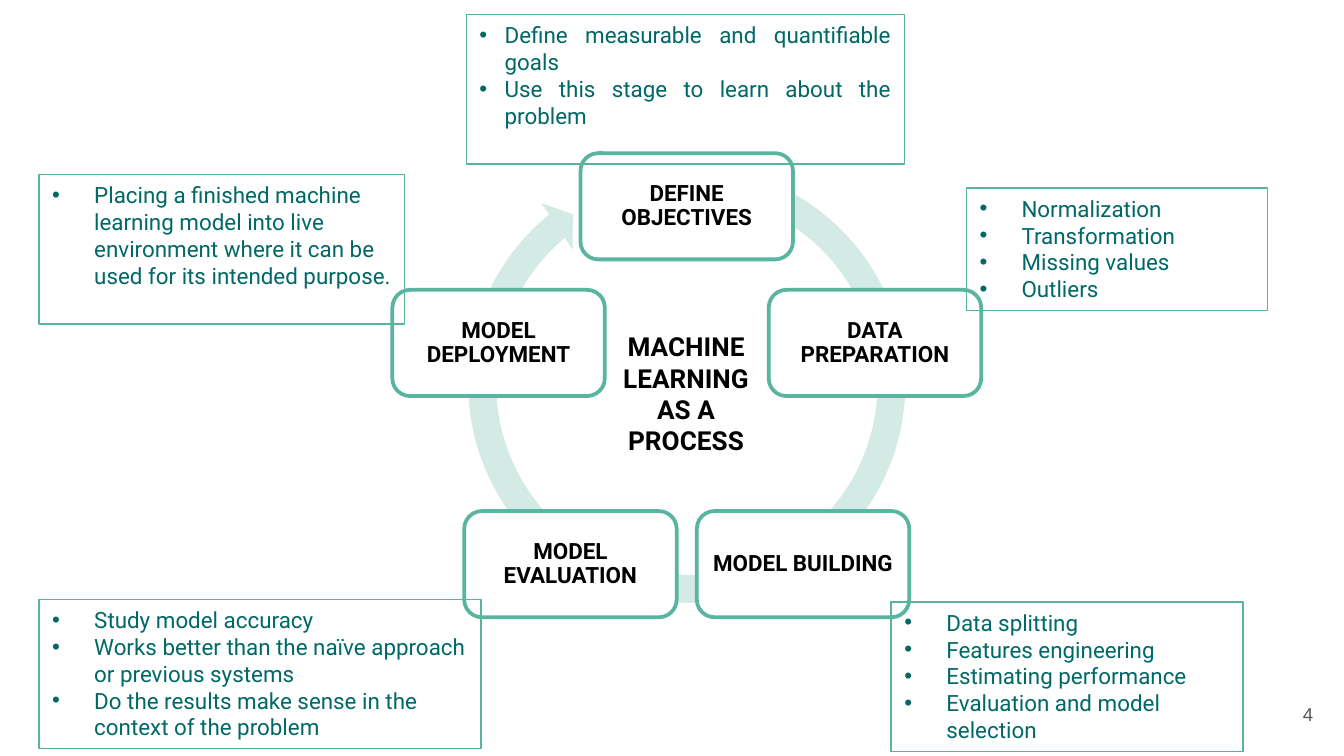
"""Build the slide that shows machine learning as a five-stage cycle."""
import math

import lxml.etree
import pptx
import pptx.dml.color
import pptx.enum.shapes
import pptx.enum.text
import pptx.oxml.ns
import pptx.util

Pt = pptx.util.Pt
RGB = pptx.dml.color.RGBColor.from_string
ALIGN = pptx.enum.text.PP_ALIGN
ANCHOR = pptx.enum.text.MSO_ANCHOR
SHAPE = pptx.enum.shapes.MSO_SHAPE

HEADING = "MACHINE LEARNING AS A PROCESS"
HEADING_AREA = (320.4, 173.5, 94.3, 74.9)
PAGE_NUMBER = "4"
PAGE_NUMBER_AREA = (667.4, 367.2, 43.2, 31)
STAGES = [
    "DEFINE OBJECTIVES",
    "DATA PREPARATION",
    "MODEL BUILDING",
    "MODEL EVALUATION",
    "MODEL DEPLOYMENT",
]
CALLOUTS = [
    {"area": (249.8, 7.9, 234.7, 79.9), "align": ALIGN.JUSTIFY, "indent": 13.5, "points": [
        "Define measurable and quantifiable goals",
        "Use this stage to learn about the problem"]},
    {"area": (517.7, 100.8, 161.3, 65.5), "align": ALIGN.LEFT, "indent": 22.5, "points": [
        "Normalization", "Transformation", "Missing values", "Outliers"]},
    {"area": (477.4, 322.6, 188.6, 79.9), "align": ALIGN.LEFT, "indent": 22.5, "points": [
        "Data splitting", "Features engineering", "Estimating performance",
        "Evaluation and model selection"]},
    {"area": (20.9, 321.1, 236.9, 79.9), "align": ALIGN.LEFT, "indent": 22.5, "points": [
        "Study model accuracy",
        "Works better than the naïve approach or previous systems",
        "Do the results make sense in the context of the problem"]},
    {"area": (20.9, 93.6, 195.8, 79.9), "align": ALIGN.LEFT, "indent": 22.5, "points": [
        "Placing a finished machine learning model into live environment "
        "where it can be used for its intended purpose."]},
]

THEME = {
    "ring": "D3EBE4", "stage_fill": "FFFFFF", "stage_line": "59B5A0",
    "callout_line": "58B49F", "callout_text": "006867",
    "heading_font": {"name": "Roboto", "size": Pt(14), "bold": True, "color": "000000"},
    "stage_font": {"name": "Roboto", "size": Pt(12), "bold": True, "color": "000000"},
    "callout_font": {"name": "Roboto", "size": Pt(12), "bold": False, "color": "006867"},
    "page_font": {"name": "Arial", "size": Pt(10), "bold": False, "color": "595959"},
}

CYCLE_CENTRE = (367.9, 216.5)
CYCLE_RADIUS = 106
STAGE_SIZE = (113.8, 56.9)
ARROW_AREA = (243.4, 81.4, 249.1, 249.1)
ARROW_ADJUSTMENTS = (0.06, 3.31, 138.38, 173.48, 0.06)


def set_frame(frame, anchor, insets=(7.2, 3.6)):
    across, down = map(Pt, insets)
    settings = {
        "word_wrap": True, "auto_size": pptx.enum.text.MSO_AUTO_SIZE.NONE,
        "vertical_anchor": anchor, "margin_left": across, "margin_right": across,
        "margin_top": down, "margin_bottom": down,
    }
    for name, value in settings.items():
        setattr(frame, name, value)


def write(paragraph, words, style, align):
    paragraph.text = words
    paragraph.alignment = align
    for name, value in style.items():
        if name == "color":
            paragraph.font.color.rgb = RGB(value)
        else:
            setattr(paragraph.font, name, value)


def add_bullet(paragraph, indent):
    properties = paragraph._p.get_or_add_pPr()
    properties.set("marL", str(Pt(indent)))
    properties.set("indent", str(-Pt(indent)))
    qn = pptx.oxml.ns.qn
    colour = lxml.etree.SubElement(properties, qn("a:buClr"))
    lxml.etree.SubElement(colour, qn("a:srgbClr"), val=THEME["callout_text"])
    lxml.etree.SubElement(properties, qn("a:buFont"), typeface="Arial")
    lxml.etree.SubElement(properties, qn("a:buChar"), char="•")


def add_shape(slide, preset, area, fill=None, line=None, width=0):
    shape = slide.shapes.add_shape(preset, *map(Pt, area))
    shape.shadow.inherit = False
    if fill:
        shape.fill.solid()
        shape.fill.fore_color.rgb = RGB(fill)
    else:
        shape.fill.background()
    if line:
        shape.line.color.rgb = RGB(line)
        shape.line.width = Pt(width)
    else:
        shape.line.fill.background()
    return shape


def add_heading(slide):
    heading = slide.shapes.title
    for name, value in zip(("left", "top", "width", "height"), HEADING_AREA):
        setattr(heading, name, Pt(value))
    set_frame(heading.text_frame, ANCHOR.TOP)
    write(heading.text_frame.paragraphs[0], HEADING, THEME["heading_font"], ALIGN.CENTER)


def add_cycle(slide):
    arrow = add_shape(slide, SHAPE.CIRCULAR_ARROW, ARROW_AREA, THEME["ring"])
    for index, value in enumerate(ARROW_ADJUSTMENTS):
        arrow.adjustments[index] = value
    width, height = STAGE_SIZE
    for index, name in enumerate(STAGES):
        angle = 2 * math.pi * index / len(STAGES)
        left = CYCLE_CENTRE[0] + CYCLE_RADIUS * math.sin(angle) - width / 2
        top = CYCLE_CENTRE[1] - CYCLE_RADIUS * math.cos(angle) - height / 2
        stage = add_shape(slide, SHAPE.ROUNDED_RECTANGLE, (left, top, width, height),
                          THEME["stage_fill"], THEME["stage_line"], 2)
        set_frame(stage.text_frame, ANCHOR.MIDDLE, (3.6, 3.6))
        label = stage.text_frame.paragraphs[0]
        write(label, name, THEME["stage_font"], ALIGN.CENTER)
        label.line_spacing = 0.9


def add_callout(slide, callout):
    box = add_shape(slide, SHAPE.RECTANGLE, callout["area"],
                    line=THEME["callout_line"], width=0.75)
    frame = box.text_frame
    set_frame(frame, ANCHOR.TOP)
    for index, point in enumerate(callout["points"]):
        paragraph = frame.add_paragraph() if index else frame.paragraphs[0]
        add_bullet(paragraph, callout["indent"])
        write(paragraph, point, THEME["callout_font"], callout["align"])


def add_page_number(slide):
    frame = slide.shapes.add_textbox(*map(Pt, PAGE_NUMBER_AREA)).text_frame
    set_frame(frame, ANCHOR.MIDDLE, (7.2, 7.2))
    write(frame.paragraphs[0], PAGE_NUMBER, THEME["page_font"], ALIGN.RIGHT)


def main():
    deck = pptx.Presentation()
    deck.slide_width, deck.slide_height = Pt(720), Pt(405)
    slide = deck.slides.add_slide(deck.slide_layouts.get_by_name("Title Only"))
    add_heading(slide)
    add_cycle(slide)
    for callout in CALLOUTS:
        add_callout(slide, callout)
    add_page_number(slide)
    deck.save("out.pptx")


if __name__ == "__main__":
    main()
